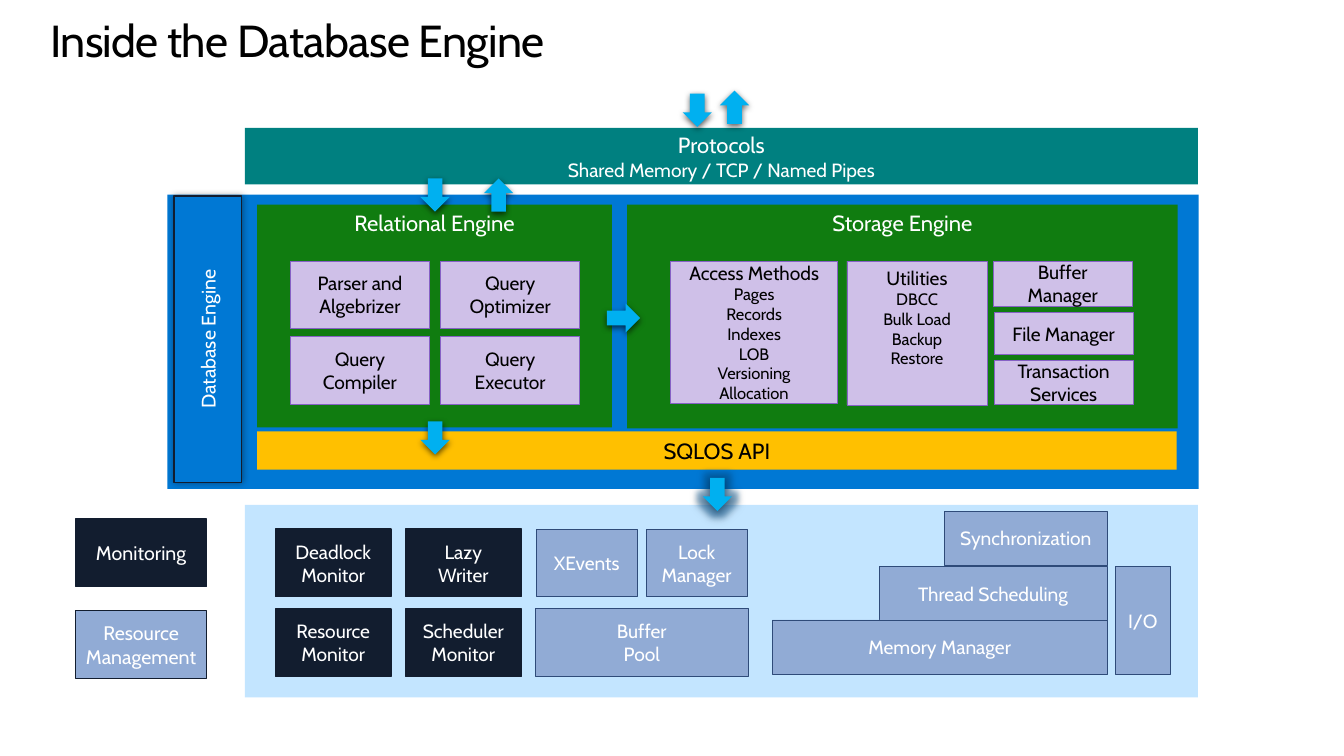
from lxml import etree
from pptx import Presentation
from pptx.dml.color import RGBColor
from pptx.enum.shapes import MSO_SHAPE as SHAPE
from pptx.enum.text import MSO_ANCHOR as ANCHOR, PP_ALIGN as ALIGN
from pptx.oxml.ns import qn
from pptx.util import Inches, Pt

FONT = "Cabin"
BLACK = RGBColor(0x00, 0x00, 0x00)
WHITE = RGBColor(0xFF, 0xFF, 0xFF)
BLUE = RGBColor(0x00, 0x78, 0xD4)
PALE_BLUE = RGBColor(0xC3, 0xE5, 0xFF)
GOLD = RGBColor(0xFF, 0xC0, 0x00)
TEAL = RGBColor(0x00, 0x80, 0x80)
GREEN = RGBColor(0x10, 0x7C, 0x10)
LILAC = RGBColor(0xCF, 0xC0, 0xE8)
PURPLE = RGBColor(0x86, 0x61, 0xC5)
STEEL = RGBColor(0x91, 0xAB, 0xD5)
STEEL_EDGE = RGBColor(0x2F, 0x4B, 0x79)
NAVY = RGBColor(0x12, 0x1D, 0x2F)
SKY = RGBColor(0x00, 0xB0, 0xF0)
GLOW = RGBColor(0x00, 0x5A, 0x9E)

BIG, MID, SMALL, KEY = 15.7, 13.7, 11.8, 14

STYLES = {
    "engine": (BLUE, None, 0, WHITE),
    "platform": (PALE_BLUE, None, 0, BLACK),
    "api": (GOLD, None, 0, BLACK),
    "protocol": (TEAL, None, 0, WHITE),
    "section": (GREEN, None, 0, WHITE),
    "component": (LILAC, PURPLE, 0.5, BLACK),
    "resource": (STEEL, STEEL_EDGE, 0.5, WHITE),
    "monitor": (NAVY, NAVY, 1, WHITE),
    "resource key": (STEEL, NAVY, 1, WHITE),
    "engine label": (BLUE, NAVY, 1, WHITE),
}

PANELS = [
    ("engine", (1.66, 1.93, 10.23, 2.92), []),
    ("platform", (2.43, 5.01, 9.45, 1.91), []),
    ("api", (2.55, 4.28, 9.12, 0.38), [("SQLOS API", BIG)]),
    ("protocol", (2.43, 1.27, 9.45, 0.56),
     [("Protocols", BIG), ("Shared Memory / TCP / Named Pipes", MID)]),
]
SECTIONS = [
    ("section", (2.55, 2.03, 3.52, 2.21), [("Relational Engine", BIG)]),
    ("section", (6.22, 2.03, 5.46, 2.22), [("Storage Engine", BIG)]),
]
QUERY_STEPS = [["Parser and Algebrizer", "Query Optimizer"],
               ["Query Compiler", "Query Executor"]]
MONITORS = [["Deadlock\nMonitor", "Lazy\nWriter"],
            ["Resource\nMonitor", "Scheduler\nMonitor"]]
ACCESS = ["Pages", "Records", "Indexes", "LOB", "Versioning", "Allocation"]
UTILITIES = ["DBCC", "Bulk Load", "Backup", "Restore"]
STORAGE_PARTS = [
    ("component", (6.65, 2.59, 1.66, 1.41),
     [("Access Methods", MID)] + [(name, SMALL) for name in ACCESS]),
    ("component", (9.85, 2.59, 1.38, 0.45), [("Buffer Manager", MID)]),
    ("component", (9.86, 3.1, 1.38, 0.42), [("File Manager", MID)]),
    ("component", (9.86, 3.58, 1.38, 0.43), [("Transaction Services", MID)]),
]
UTILITY_BOX = ("component", (8.4, 2.59, 1.39, 1.43),
               [("Utilities", MID)] + [(name, SMALL) for name in UTILITIES])
RESOURCES = [
    ("resource", (8.72, 5.62, 2.26, 0.54), [("Thread Scheduling", MID)]),
    ("resource", (7.66, 6.15, 3.32, 0.54), [("Memory Manager", MID)]),
    ("resource", (9.37, 5.07, 1.61, 0.54), [("Synchronization", MID)]),
    ("resource", (5.31, 6.04, 2.11, 0.67), [("Buffer\nPool", MID)]),
    ("resource", (11.06, 5.62, 0.55, 1.07), [("I/O", MID)]),
    ("resource", (5.32, 5.25, 1, 0.67), [("XEvents", MID)]),
    ("resource", (6.41, 5.25, 1, 0.67), [("Lock\nManager", MID)]),
    ("monitor", (0.75, 5.15, 1.3, 0.67), [("Monitoring", KEY)]),
    ("resource key", (0.75, 6.06, 1.3, 0.67),
     [("Resource", KEY), ("Management", KEY)]),
]
ENGINE_LABEL = ("engine label", (0.64, 3.03, 2.84, 0.67),
                [("Database Engine", KEY)])
ARROWS = [(6.77, 0.93, 0), (7.14, 0.9, 180), (4.17, 1.77, 0),
          (4.8, 1.77, 180), (6.04, 2.99, 270), (4.17, 4.18, 0)]
PLATFORM_ARROW = (6.97, 4.74, 0)

prs = Presentation()
prs.slide_width, prs.slide_height = Inches(13.33), Inches(7.5)
slide = prs.slides.add_slide(prs.slide_layouts[6])


def add_run(p, text, size, color):
    r = p.add_run()
    r.text = text
    r.font.name, r.font.size = FONT, Pt(size)
    r.font.color.rgb = color
    return r


def add_effect(sp, tag, color, alpha, **attrs):
    effects = sp._element.spPr.find(qn("a:effectLst"))
    effect = etree.SubElement(effects, qn(f"a:{tag}"),
                              {k: str(v) for k, v in attrs.items()})
    clr = etree.SubElement(effect, qn("a:srgbClr"), val=str(color))
    etree.SubElement(clr, qn("a:alpha"), val=str(alpha * 1000))


def add_shape(kind, box, fill, edge=None, width=0):
    sp = slide.shapes.add_shape(kind, *map(Inches, box))
    sp.fill.solid()
    sp.fill.fore_color.rgb = fill
    if edge is None:
        sp.line.fill.background()
    else:
        sp.line.color.rgb = edge
        sp.line.width = Pt(width)
    sp.shadow.inherit = False
    return sp


def add_box(style, box, lines, anchor=ANCHOR.MIDDLE):
    fill, edge, width, color = STYLES[style]
    sp = add_shape(SHAPE.RECTANGLE, box, fill, edge, width)
    tf = sp.text_frame
    tf.word_wrap = style == "component"
    tf.vertical_anchor = anchor
    tf.margin_left = tf.margin_right = Inches(0.1)
    tf.margin_top = tf.margin_bottom = Inches(0.05)
    for i, (text, size) in enumerate(lines):
        p = tf.add_paragraph() if i else tf.paragraphs[0]
        p.alignment = ALIGN.CENTER
        for j, part in enumerate(text.split("\n")):
            if j:
                p.add_line_break()
            add_run(p, part, size, color)
    return sp


def add_grid(style, labels, left, top, step_x, step_y, width):
    for row, names in enumerate(labels):
        for col, name in enumerate(names):
            box = (left + col * step_x, top + row * step_y, width, 0.67)
            add_box(style, box, [(name, MID)])


def add_arrow(left, top, rotation, glow=False):
    sp = add_shape(SHAPE.DOWN_ARROW, (left, top, 0.29, 0.33), SKY)
    sp.rotation = rotation
    if glow:
        add_effect(sp, "glow", GLOW, 40, rad=Pt(8))
    add_effect(sp, "outerShdw", BLACK, 63, blurRad=Pt(4.5), dist=Pt(1.5),
               dir=5400000, rotWithShape=0)


title = slide.shapes.add_textbox(Inches(0.5), Inches(0.16),
                                 Inches(11.9), Inches(0.5))
tf = title.text_frame
tf.word_wrap = True
tf.margin_left = tf.margin_right = tf.margin_top = tf.margin_bottom = 0
p = tf.paragraphs[0]
p.line_spacing = Pt(36.2)
r = add_run(p, "Inside the Database Engine", 32, BLACK)
r.font._element.set("spc", "-50")

for item in PANELS:
    add_box(*item)
for item in SECTIONS + [UTILITY_BOX]:
    add_box(*item, anchor=ANCHOR.TOP)
add_grid("component", QUERY_STEPS, 2.88, 2.59, 1.49, 0.75, 1.38)
add_grid("monitor", MONITORS, 2.73, 5.25, 1.29, 0.79, 1.15)
for item in STORAGE_PARTS + RESOURCES:
    add_box(*item)

label = add_box(*ENGINE_LABEL)
label.rotation = 270
add_effect(label, "outerShdw", BLACK, 40, blurRad=Pt(5), dist=0, dir=0)

for arrow in ARROWS:
    add_arrow(*arrow)
add_arrow(*PLATFORM_ARROW, glow=True)

prs.save("out.pptx")
